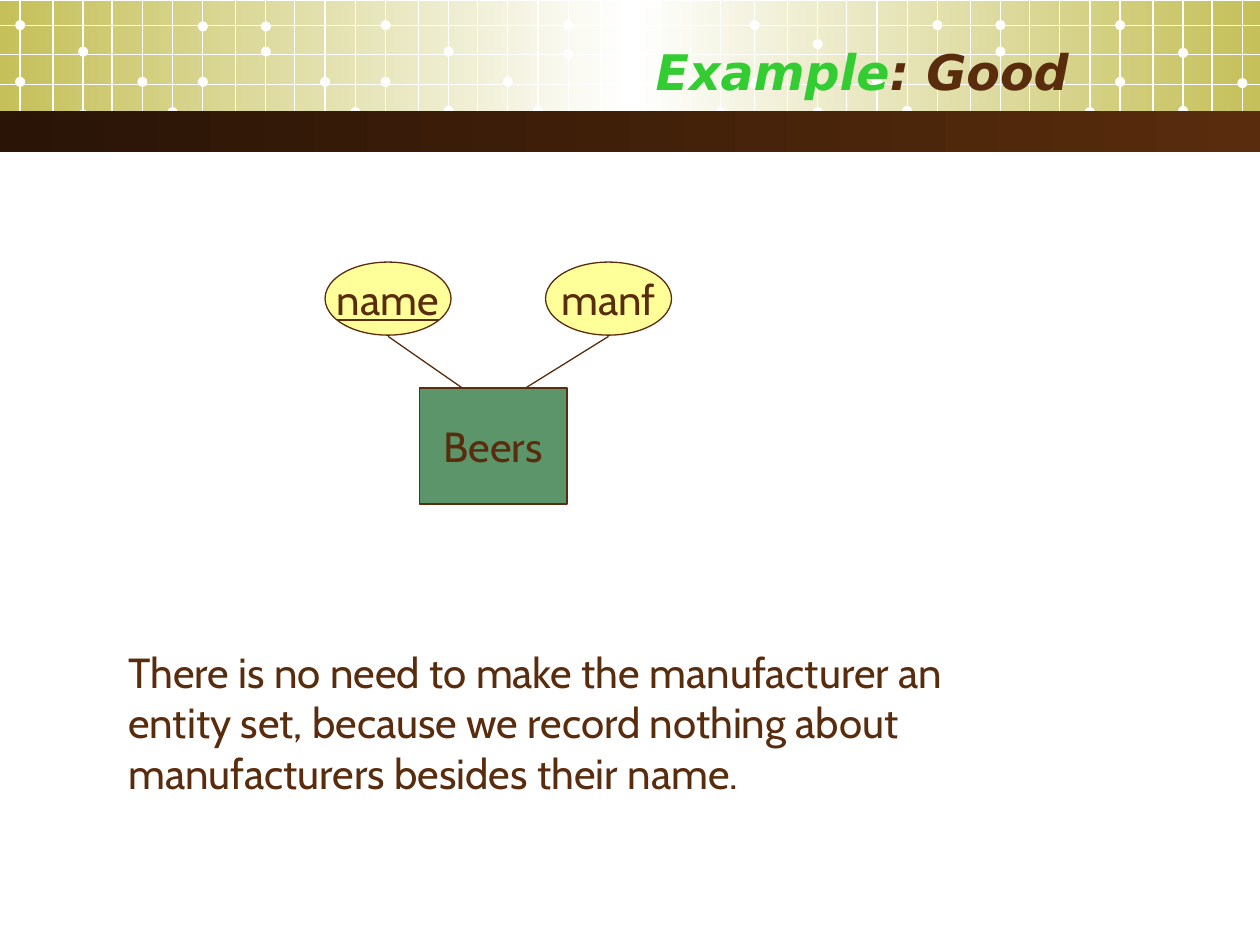
import copy

import lxml.etree
import pptx
import pptx.dml.color
import pptx.enum.shapes
import pptx.enum.text
import pptx.oxml.ns
import pptx.util
from pptx.util import Inches

BROWN, WHITE, YELLOW, GREEN = "592C0D", "FFFFFF", "FFFF99", "5B9569"
SHAPES = pptx.enum.shapes.MSO_SHAPE
ALIGN = pptx.enum.text.PP_ALIGN
ANCHOR = pptx.enum.text.MSO_ANCHOR

BLOCK_LEFTS = [0.16, 1.61, 3.06, 4.51, 5.99, 7.44, 8.89]
COLUMN_OFFSETS = [0, 0.26, 0.5, 0.73, 0.97, 1.21]
ROW_TOPS = [0.2, 0.43, 0.67, 0.89]
DOT_SIZE = 0.08
DOT_COLUMNS = [0, 0, 2, 2, 4, 5]
DOT_TOPS = [
    [0.61, 0.16, 0.37, 0.87, 0.61, 0.85],
    [0.61, 0.17, 0.37, 0.17, 0.61, 0.85],
    [0.61, 0.16, 0.37, 0.84, 0.61, 0.84],
    [0.39, 0.16, 0.38, 0.16, 0.61, 0.85],
    [0.62, 0.16, 0.31, 0.85, 0.6, 0.84],
    [0.47, 0.16, 0.37, 0.16, 0.61, 0.85],
    [0.61, 0.16, 0.38, 0.84, 0.62],
]


def color(code):
    """Turn a hex string into a colour."""
    return pptx.dml.color.RGBColor.from_string(code)


def set_format(target, values):
    """Set each attribute in a dict of format values."""
    for name, value in values.items():
        setattr(target, name, value)


def add_figure(page, kind, place, fill=None, line=None):
    """Add a preset shape with an optional solid fill and outline."""
    figure = page.shapes.add_shape(kind, *map(Inches, place))
    figure.shadow.inherit = False
    if fill:
        figure.fill.solid()
        figure.fill.fore_color.rgb = color(fill)
    if line:
        figure.line.color.rgb = color(line)
        figure.line.width = pptx.util.Pt(0.75)
    else:
        figure.line.fill.background()
    return figure


def add_gradient_band(page, place, codes):
    """Add a borderless rectangle with an even left-to-right gradient."""
    band = add_figure(page, SHAPES.RECTANGLE, place)
    band.fill.gradient()
    band.fill.gradient_angle = 0
    stop_list = band._element.spPr.find(".//" + pptx.oxml.ns.qn("a:gsLst"))
    while len(stop_list) < len(codes):
        stop_list.append(copy.deepcopy(stop_list[0]))
    for index, (stop, code) in enumerate(zip(band.fill.gradient_stops, codes)):
        stop.color.rgb = color(code)
        stop.position = index / (len(codes) - 1)


def add_line(page, start, end, code):
    """Add a thin straight line without a shadow."""
    line = page.shapes.add_connector(
        pptx.enum.shapes.MSO_CONNECTOR.STRAIGHT, *map(Inches, start + end))
    line.line.color.rgb = color(code)
    line.line.width = pptx.util.Pt(0.75)
    lxml.etree.SubElement(line._element.spPr, pptx.oxml.ns.qn("a:effectLst"))


def write_text(box, runs, align, frame_values, **font_values):
    """Write one paragraph of (text, colour) runs in a box."""
    set_format(box.text_frame, frame_values)
    para = box.text_frame.paragraphs[0]
    para.alignment = align
    for text, code in runs:
        span = para.add_run()
        span.text = text
        span.font.color.rgb = color(code)
        set_format(span.font, font_values)


def add_header(page):
    """Draw the gradient header with its grid of lines and dots."""
    add_gradient_band(page, (0, 0.01, 10, 1.02), ["C5C059", WHITE, "C5C059"])
    for left, tops in zip(BLOCK_LEFTS, DOT_TOPS):
        for offset in COLUMN_OFFSETS:
            if left + offset < 10:
                add_line(page, (left + offset, 0), (left + offset, 1.1), WHITE)
        for column, top in zip(DOT_COLUMNS, tops):
            dot_left = left + COLUMN_OFFSETS[column] - DOT_SIZE / 2
            add_figure(page, SHAPES.OVAL, (dot_left, top, DOT_SIZE, DOT_SIZE), WHITE)
    for top in ROW_TOPS:
        add_line(page, (0, top), (10, top), WHITE)
    add_gradient_band(page, (0, 0.88, 10, 0.33), ["291406", BROWN])


def add_node(page, kind, place, fill, label, underline=False):
    """Add a labelled entity or attribute of the diagram."""
    node = add_figure(page, kind, place, fill, BROWN)
    write_text(node, [(label, BROWN)], ALIGN.CENTER,
               {"word_wrap": False, "vertical_anchor": ANCHOR.MIDDLE},
               name="Cabin", size=pptx.util.Pt(24), underline=underline)


def add_text(page, place, runs, align, anchor, **font_values):
    """Add a wrapping text box."""
    box = page.shapes.add_textbox(*map(Inches, place))
    write_text(box, runs, align, {"word_wrap": True, "vertical_anchor": anchor},
               **font_values)


def main():
    """Build the slide and save it."""
    deck = pptx.Presentation()
    set_format(deck, {"slide_width": Inches(10), "slide_height": Inches(7.5)})
    page = deck.slides.add_slide(deck.slide_layouts[6])
    add_header(page)
    add_text(page, (0.5, 0.25, 8.08, 0.62),
             [("Example", "33CC33"), (": Good", BROWN)], ALIGN.RIGHT, ANCHOR.MIDDLE,
             name="DejaVu Sans", size=pptx.util.Pt(28), bold=True, italic=True)
    add_node(page, SHAPES.RECTANGLE, (3.33, 3.08, 1.17, 0.92), GREEN, "Beers")
    add_node(page, SHAPES.OVAL, (2.58, 2.08, 1, 0.58), YELLOW, "name", underline=True)
    add_node(page, SHAPES.OVAL, (4.33, 2.08, 1, 0.58), YELLOW, "manf")
    add_line(page, (3.08, 2.67), (3.67, 3.08), BROWN)
    add_line(page, (4.83, 2.67), (4.17, 3.08), BROWN)
    add_text(page, (0.92, 5.08, 7.52, 1.3),
             [("There is no need to make the manufacturer an entity set, because we "
               "record nothing about manufacturers besides their name.", BROWN)],
             ALIGN.LEFT, ANCHOR.TOP, name="Cabin", size=pptx.util.Pt(24))
    deck.save("out.pptx")


if __name__ == "__main__":
    main()
